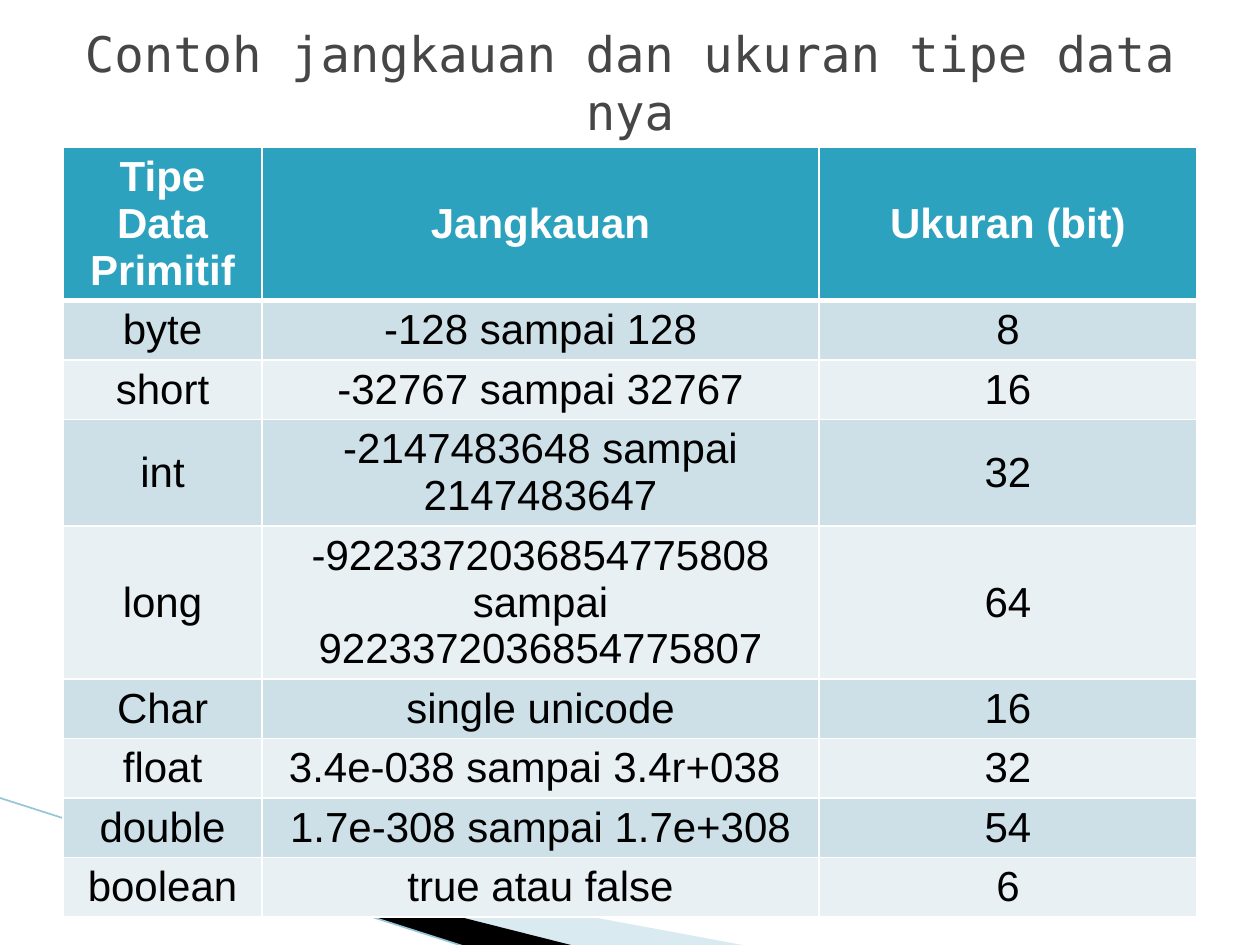
from dataclasses import dataclass

from lxml.etree import SubElement
from pptx import Presentation
from pptx.dml.color import RGBColor as RGB
from pptx.enum.shapes import MSO_CONNECTOR
from pptx.enum.text import MSO_ANCHOR as Anchor, PP_ALIGN as Align
from pptx.oxml import parse_xml
from pptx.oxml.ns import nsdecls, qn
from pptx.util import Inches, Pt


@dataclass(frozen=True)
class Theme:
    title_font: str = "DejaVu Sans Mono"
    body_font: str = "Arial"
    title_size: int = 28
    body_size: int = 24
    title: str = "464646"
    header: str = "2DA2BF"
    header_text: str = "FFFFFF"
    body_text: str = "000000"
    bands: tuple = ("CDE0E8", "E8F0F4")
    border: str = "FFFFFF"
    light_sweep: str = "A0CBDC"
    dark_sweep: str = "000000"
    sweep_line: str = "97C5D8"


THEME = Theme()

TITLE = "Contoh jangkauan dan ukuran tipe data nya"
ROWS = [
    ("Tipe Data Primitif", "Jangkauan", "Ukuran (bit)"),
    ("byte", "-128 sampai 128", "8"),
    ("short", "-32767 sampai 32767", "16"),
    ("int", "-2147483648 sampai 2147483647", "32"),
    ("long", "-9223372036854775808 sampai 9223372036854775807", "64"),
    ("Char", "single unicode", "16"),
    ("float", "3.4e-038 sampai 3.4r+038 ", "32"),
    ("double", "1.7e-308 sampai 1.7e+308", "54"),
    ("boolean", "true atau false", "6"),
]
COL_WIDTHS = (1.58, 4.42, 3)
ROW_HEIGHT, TALL_ROW_HEIGHT = 0.46, 0.8
TALL_ROWS = (0, 3, 4)

# points, colour, opacity in percent
SWEEPS = [
    ([(0.55, 6.51), (5.95, 7.51), (4.56, 7.51), (0.55, 6.5)], THEME.light_sweep, 40),
    ([(0.53, 6.49), (4.57, 7.51), (3.72, 7.52), (0.54, 6.5)], THEME.dark_sweep, 100),
]
SWEEP_LINE = ((-0.01, 6.33), (3.71, 7.52))


def add_sweep(slide, points, color, opacity):
    start, *rest = [(Inches(x), Inches(y)) for x, y in points]
    builder = slide.shapes.build_freeform(*start)
    builder.add_line_segments(rest, close=True)
    sp = builder.convert_to_shape()
    sp.shadow.inherit = False
    sp.line.fill.background()
    sp.fill.solid()
    sp.fill.fore_color.rgb = RGB.from_string(color)
    if opacity < 100:
        clr = sp.fill._xPr.find(".//" + qn("a:srgbClr"))
        SubElement(clr, qn("a:alpha"), val=str(opacity * 1000))


def add_sweep_line(slide):
    (x1, y1), (x2, y2) = SWEEP_LINE
    line = slide.shapes.add_connector(
        MSO_CONNECTOR.STRAIGHT, Inches(x1), Inches(y1), Inches(x2), Inches(y2))
    line.line.color.rgb = RGB.from_string(THEME.sweep_line)
    line.line.width = Pt(0.95)
    SubElement(line._element.spPr, qn("a:effectLst"))


def write(tf, text, font, size, color, bold=False):
    tf.word_wrap = True
    p = tf.paragraphs[0]
    p.alignment = Align.CENTER
    r = p.add_run()
    r.text = text
    r.font.name = font
    r.font.size = Pt(size)
    r.font.bold = bold
    r.font.color.rgb = RGB.from_string(color)


def set_borders(cell, **widths):
    """Give the sides L, R, T and B a line of the given width in points."""
    tc_pr = cell._tc.get_or_add_tcPr()
    for i, side in enumerate("LRTB"):
        tc_pr.insert(i, parse_xml(
            f'<a:ln{side} {nsdecls("a")} w="{Pt(widths.get(side, 1))}">'
            f'<a:solidFill><a:srgbClr val="{THEME.border}"/></a:solidFill>'
            f'</a:ln{side}>'))


def add_type_table(slide):
    heights = [TALL_ROW_HEIGHT if i in TALL_ROWS else ROW_HEIGHT
               for i in range(len(ROWS))]
    table = slide.shapes.add_table(
        len(ROWS), len(COL_WIDTHS), Inches(0.5), Inches(1.17),
        Inches(sum(COL_WIDTHS)), Inches(sum(heights))).table
    for col, width in zip(table.columns, COL_WIDTHS):
        col.width = Inches(width)
    for i, (row, height, texts) in enumerate(zip(table.rows, heights, ROWS)):
        row.height = Inches(height)
        is_header = i == 0
        fill = THEME.header if is_header else THEME.bands[(i - 1) % 2]
        color = THEME.header_text if is_header else THEME.body_text
        for cell, text in zip(row.cells, texts):
            cell.vertical_anchor = Anchor.MIDDLE
            cell.fill.solid()
            cell.fill.fore_color.rgb = RGB.from_string(fill)
            set_borders(cell, T=3 if i == 1 else 1, B=3 if is_header else 1)
            write(cell.text_frame, text, THEME.body_font, THEME.body_size,
                  color, bold=is_header)


def add_title(slide):
    box = slide.shapes.add_textbox(Inches(0.5), Inches(0.3), Inches(9), Inches(0.7))
    box.text_frame.vertical_anchor = Anchor.MIDDLE
    write(box.text_frame, TITLE, THEME.title_font, THEME.title_size, THEME.title)


def main():
    prs = Presentation()
    prs.slide_width, prs.slide_height = Inches(10), Inches(7.5)
    slide = prs.slides.add_slide(prs.slide_layouts[6])
    for sweep in SWEEPS:
        add_sweep(slide, *sweep)
    add_sweep_line(slide)
    add_type_table(slide)
    add_title(slide)
    prs.save("out.pptx")


if __name__ == "__main__":
    main()
